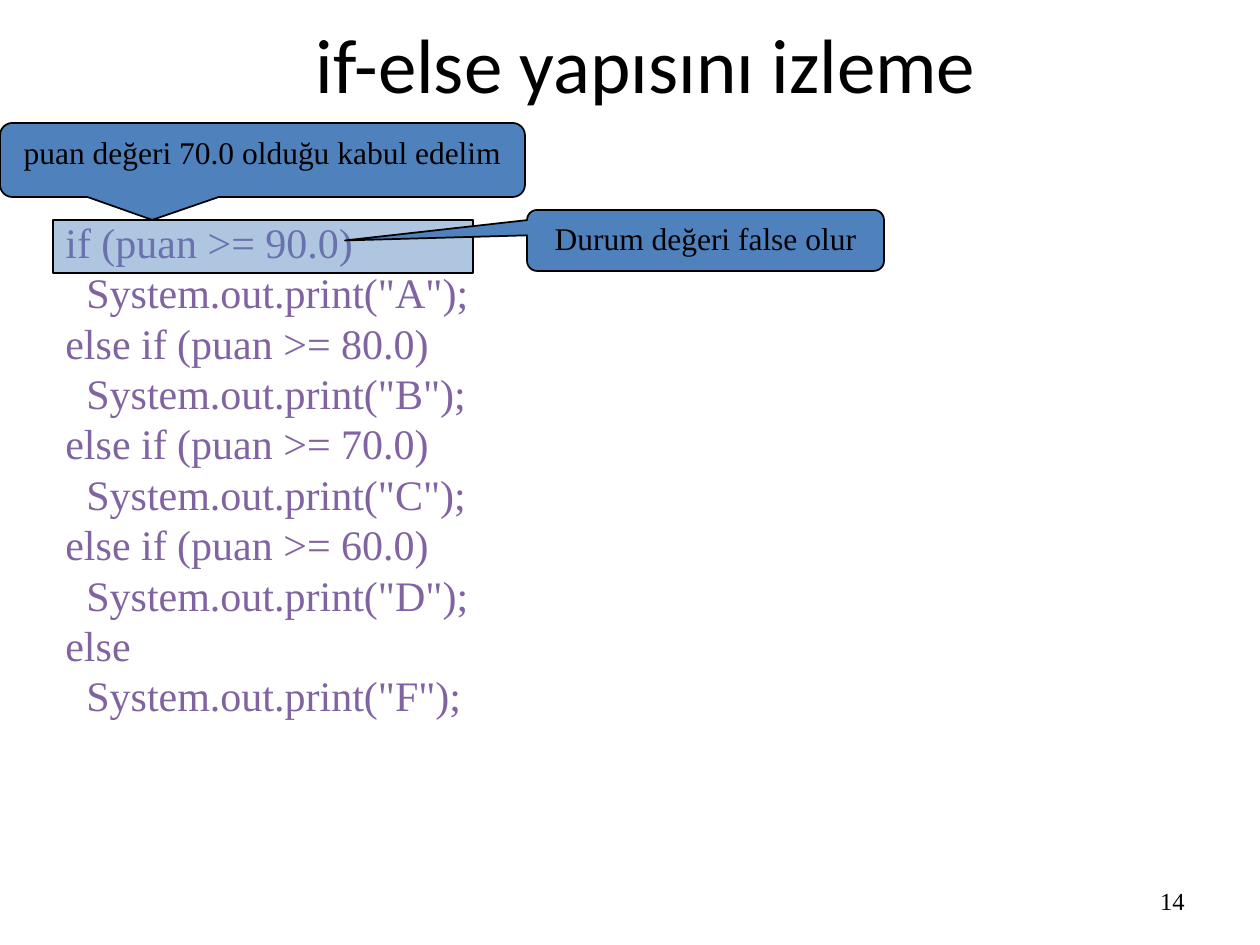
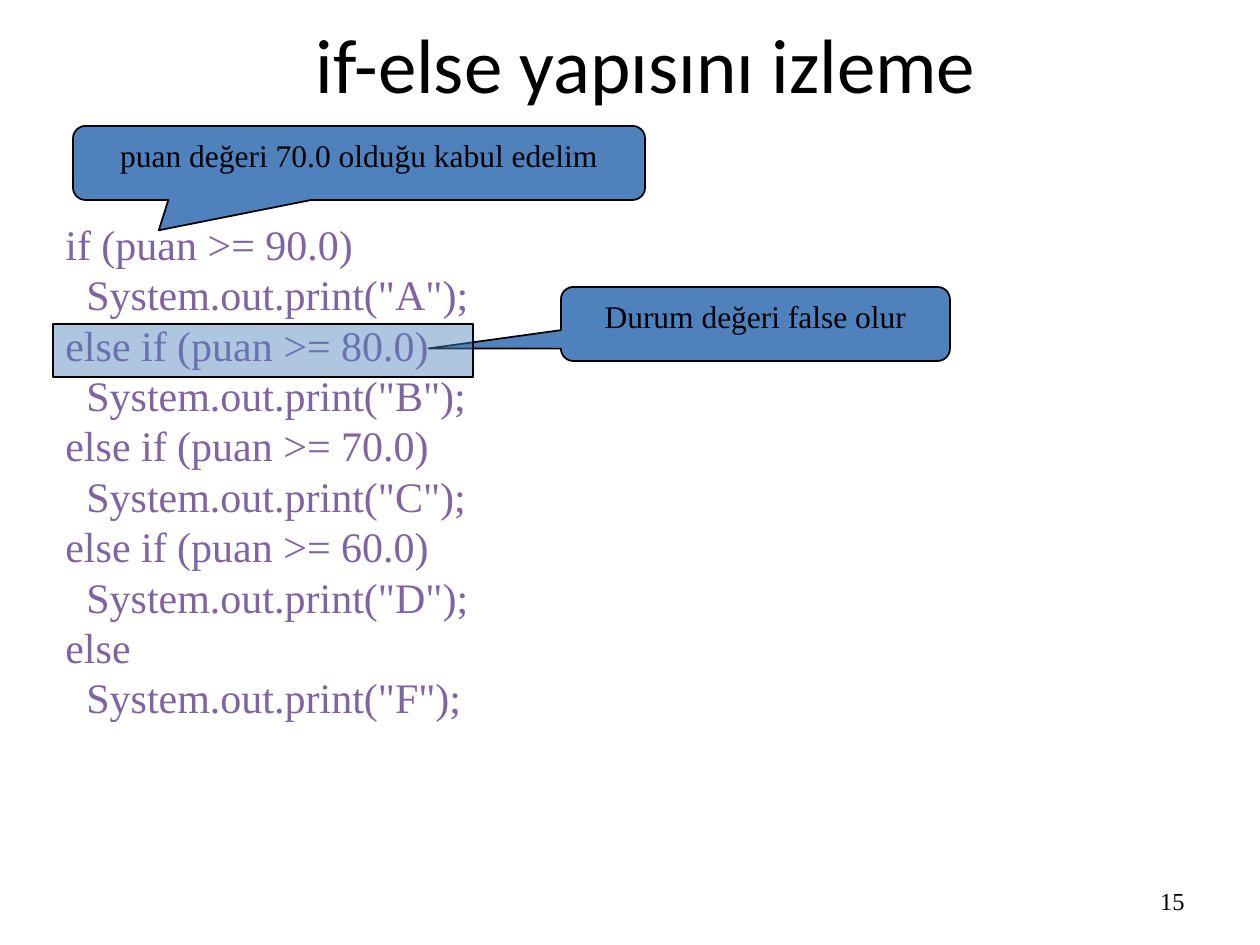
import pptx
import pptx.util
import pptx.dml.color
import pptx.enum.shapes
import pptx.enum.text
import pptx.oxml
import pptx.oxml.ns

EMU_PER_PX = 914400 / 126
BLUE = "4F81BD"
BLACK = "000000"
PURPLE = "8064A2"
SERIF = "Times New Roman"
ALIGN = pptx.enum.text.PP_ALIGN
ANCHOR = pptx.enum.text.MSO_ANCHOR
SHAPE = pptx.enum.shapes.MSO_SHAPE

CODE = """if (puan >= 90.0)
  System.out.print("A");
else if (puan >= 80.0)
  System.out.print("B");
else if (puan >= 70.0)
  System.out.print("C");
else if (puan >= 60.0)
  System.out.print("D");
else
  System.out.print("F");"""
ASSUMPTION = "puan değeri 70.0 olduğu kabul edelim"
RESULT = "Durum değeri false olur"

TRACE_STEPS = [
    {"number": "14", "code_top": 210, "objects": [
        ("callout", (0, 123, 525, 74), ASSUMPTION, (-0.21, 0.81)),
        ("highlight", (53, 220, 420, 53), "", ()),
        ("callout", (527, 210, 357, 61), RESULT, (-1.01, 0)),
    ]},
    {"number": "15", "code_top": 212, "objects": [
        ("callout", (73, 126, 572, 74), ASSUMPTION, (-0.35, 0.91)),
        ("callout", (561, 287, 389, 74), RESULT, (-0.84, 0.33)),
        ("highlight", (53, 324, 420, 53), "", ()),
    ]},
]


def px(*lengths):
    return [pptx.util.Emu(round(length * EMU_PER_PX)) for length in lengths]


def write(shape, text, size, font=SERIF, color=BLACK, align=ALIGN.LEFT,
          anchor=ANCHOR.TOP, line_points=None):
    frame = shape.text_frame
    frame.word_wrap = True
    frame.vertical_anchor = anchor
    frame.text = text
    for paragraph in frame.paragraphs:
        paragraph.alignment = align
        if line_points:
            paragraph.line_spacing = pptx.util.Pt(line_points)
        paragraph.font.name = font
        paragraph.font.size = pptx.util.Pt(size)
        paragraph.font.color.rgb = pptx.dml.color.RGBColor.from_string(color)


presentation = pptx.Presentation()
presentation.slide_width, presentation.slide_height = px(1260, 945)

for step in TRACE_STEPS:
    slide = presentation.slides.add_slide(presentation.slide_layouts[5])
    title = slide.shapes.title
    title.left, title.top, title.width, title.height = px(95, 0, 1102, 126)
    write(title, "if-else yapısını izleme", 44, font="Calibri",
          align=ALIGN.CENTER, anchor=ANCHOR.MIDDLE)

    number_box = slide.shapes.add_textbox(*px(903, 876, 294, 50))
    write(number_box, step["number"], 14, align=ALIGN.RIGHT, anchor=ANCHOR.MIDDLE)

    code_box = slide.shapes.add_textbox(*px(53, step["code_top"], 472, 522))
    write(code_box, CODE, 24, color=PURPLE, line_points=28.8)

    for kind, bounds, text, tip in step["objects"]:
        preset = SHAPE.ROUNDED_RECTANGULAR_CALLOUT if kind == "callout" else SHAPE.RECTANGLE
        shape = slide.shapes.add_shape(preset, *px(*bounds))
        shape.shadow.inherit = False
        shape.fill.solid()
        shape.fill.fore_color.rgb = pptx.dml.color.RGBColor.from_string(BLUE)
        shape.line.color.rgb = pptx.dml.color.RGBColor.from_string(BLACK)
        shape.line.width = pptx.util.Pt(1)
        if kind == "callout":
            shape.adjustments[0], shape.adjustments[1] = tip
            write(shape, text, 18, align=ALIGN.CENTER)
        else:
            color = shape.fill._xPr.find(".//" + pptx.oxml.ns.qn("a:srgbClr"))
            alpha = pptx.oxml.parse_xml(
                f'<a:alpha {pptx.oxml.ns.nsdecls("a")} val="45000"/>')
            color.append(alpha)

presentation.save("out.pptx")
